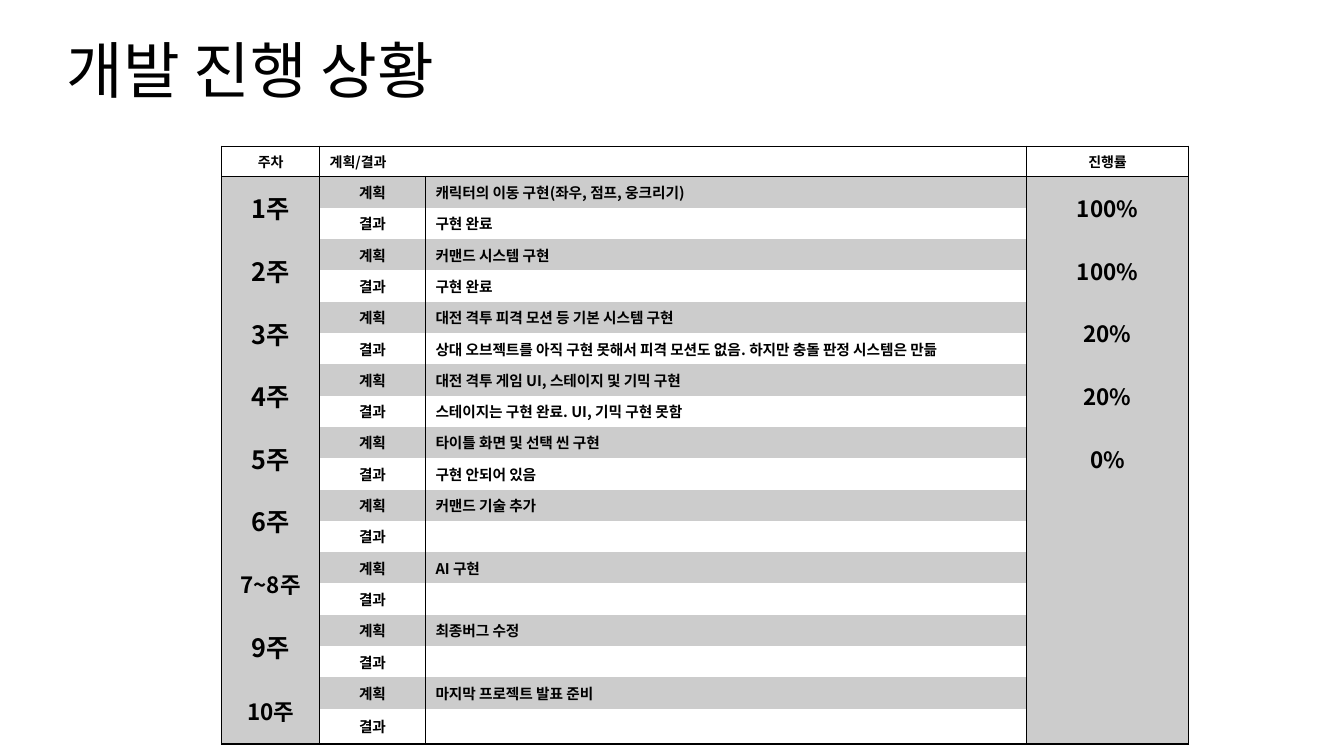
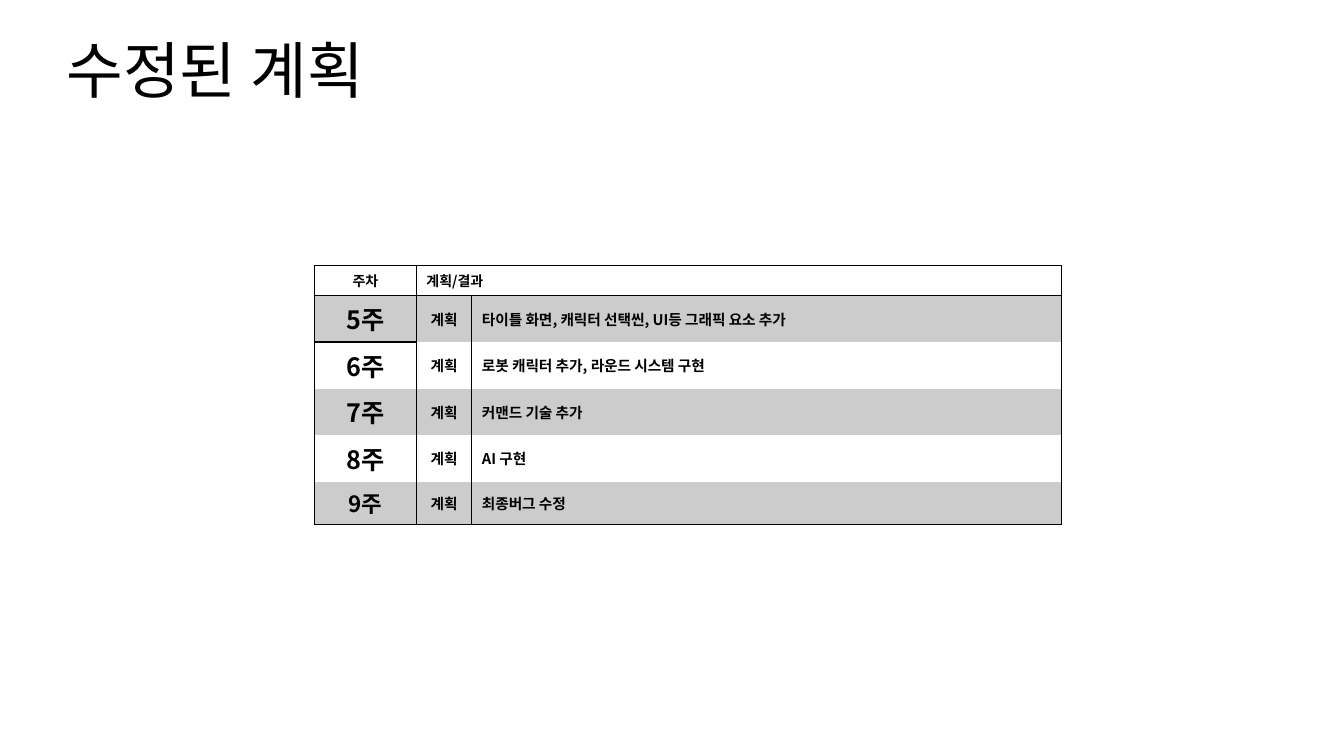
"""Build the two development progress slides: weekly status and revised plan."""
from lxml.etree import SubElement
from pptx import Presentation
from pptx.dml.color import RGBColor
from pptx.enum.text import MSO_ANCHOR as Anchor, PP_ALIGN as Align
from pptx.oxml.ns import qn
from pptx.util import Inches, Pt

FONT = "Noto Sans CJK KR"
BLACK = RGBColor(0x00, 0x00, 0x00)
WHITE = RGBColor(0xFF, 0xFF, 0xFF)
GRAY = RGBColor(0xCC, 0xCC, 0xCC)
PLAIN_TABLE = "{2D5ABB26-0587-4C30-8999-92F81FD0307C}"

PROGRESS = [
    ("1주", "캐릭터의 이동 구현(좌우, 점프, 웅크리기)", "구현 완료", "100%"),
    ("2주", "커맨드 시스템 구현", "구현 완료", "100%"),
    ("3주", "대전 격투 피격 모션 등 기본 시스템 구현",
     "상대 오브젝트를 아직 구현 못해서 피격 모션도 없음. 하지만 충돌 판정 시스템은 만듦", "20%"),
    ("4주", "대전 격투 게임 UI, 스테이지 및 기믹 구현",
     "스테이지는 구현 완료. UI, 기믹 구현 못함", "20%"),
    ("5주", "타이틀 화면 및 선택 씬 구현", "구현 안되어 있음", "0%"),
    ("6주", "커맨드 기술 추가", "", ""),
    ("7~8주", "AI 구현", "", ""),
    ("9주", "최종버그 수정", "", ""),
    ("10주", "마지막 프로젝트 발표 준비", "", ""),
]
REVISED = [
    ("5주", "타이틀 화면, 캐릭터 선택씬, UI등 그래픽 요소 추가"),
    ("6주", "로봇 캐릭터 추가, 라운드 시스템 구현"),
    ("7주", "커맨드 기술 추가"),
    ("8주", "AI 구현"),
    ("9주", "최종버그 수정"),
]

progress_rows = [("주차", "계획/결과", "", "진행률")]
for week, plan, result, rate in PROGRESS:
    progress_rows += [(week, "계획", plan, rate), ("", "결과", result, "")]
revised_rows = [("주차", "계획/결과", "")]
revised_rows += [(week, "계획", plan) for week, plan in REVISED]

SLIDES = [
    dict(title="개발 진행 상황", rows=progress_rows, left=2.2, top=1.45,
         widths=[0.97, 1.05, 5.96, 1.61], heights=[0.3] + [0.31] * 17 + [0.35],
         paired=True, small_weeks=("7~8주", "10주"), underlined=(0,)),
    dict(title="수정된 계획", rows=revised_rows, left=3.12, top=2.63,
         widths=[1.01, 0.55, 5.85], heights=[0.3] + [0.46] * 4 + [0.42],
         paired=False, small_weeks=("9주",), underlined=(0, 1)),
]


def style_text(paragraph, size, bold):
    """Apply the common font to a paragraph's runs."""
    for run in paragraph.runs:
        run.font.name = FONT
        run.font.size = Pt(size)
        run.font.bold = bold
        run.font.color.rgb = BLACK
        SubElement(run.font._element, qn("a:ea"), typeface=FONT)
    if not paragraph.runs:
        SubElement(paragraph._p, qn("a:endParaRPr"), sz=str(int(size * 100)))


def add_borders(cell, sides):
    """Draw thin black lines on the given sides, in the order L, R, T, B."""
    properties = cell._tc.get_or_add_tcPr()
    for side in sides:
        line = SubElement(properties, qn(f"a:ln{side}"), w=str(Pt(1)))
        fill = SubElement(line, qn("a:solidFill"))
        SubElement(fill, qn("a:srgbClr"), val=str(BLACK))


prs = Presentation()
prs.slide_width, prs.slide_height = Inches(13.33), Inches(7.5)

for content in SLIDES:
    slide = prs.slides.add_slide(prs.slide_layouts[5])
    title = slide.shapes.title
    title.left, title.top = Inches(0.56), Inches(0)
    title.width, title.height = Inches(11.5), Inches(1.45)
    title.text_frame.text = content["title"]
    title.text_frame.vertical_anchor = Anchor.MIDDLE
    heading = title.text_frame.paragraphs[0]
    heading.alignment = Align.LEFT
    heading.line_spacing = 0.9
    style_text(heading, 44, False)

    rows, widths, heights = content["rows"], content["widths"], content["heights"]
    schedule = slide.shapes.add_table(
        len(rows), len(widths), Inches(content["left"]), Inches(content["top"]),
        Inches(sum(widths)), Inches(sum(heights)))
    table = schedule.table
    table._tbl.tblPr.find(qn("a:tableStyleId")).text = PLAIN_TABLE
    table.first_row = table.horz_banding = False
    for column, width in zip(table.columns, widths):
        column.width = Inches(width)
    for row, height in zip(table.rows, heights):
        row.height = Inches(height)

    table.cell(0, 1).merge(table.cell(0, 2))
    if content["paired"]:
        for r in range(1, len(rows), 2):
            for c in (0, 3):
                table.cell(r, c).merge(table.cell(r + 1, c))

    for r, texts in enumerate(rows):
        for c, text in enumerate(texts):
            cell = table.cell(r, c)
            cell.text_frame.text = text
            cell.vertical_anchor = Anchor.MIDDLE
            paragraph = cell.text_frame.paragraphs[0]
            if text and c != 2 and (r, c) != (0, 1):
                paragraph.alignment = Align.CENTER

            size = 10 if r == 0 else 10.5
            if r and text and c == 0:
                size = 16 if text in content["small_weeks"] else 18
            elif r and text and c == 3:
                size = 16
            style_text(paragraph, size, True)

            if not (r == 0 and cell.is_spanned):
                reaches_end = r + max(cell.span_height, 1) == len(rows)
                underlined = r == 0 or (c == 0 and r in content["underlined"])
                sides = "LR" + ("T" if r == 0 else "")
                add_borders(cell, sides + ("B" if underlined or reaches_end else ""))

            merged_column = content["paired"] and r > 0 and c in (0, 3)
            cell.fill.solid()
            cell.fill.fore_color.rgb = GRAY if r % 2 or merged_column else WHITE

prs.save("out.pptx")
